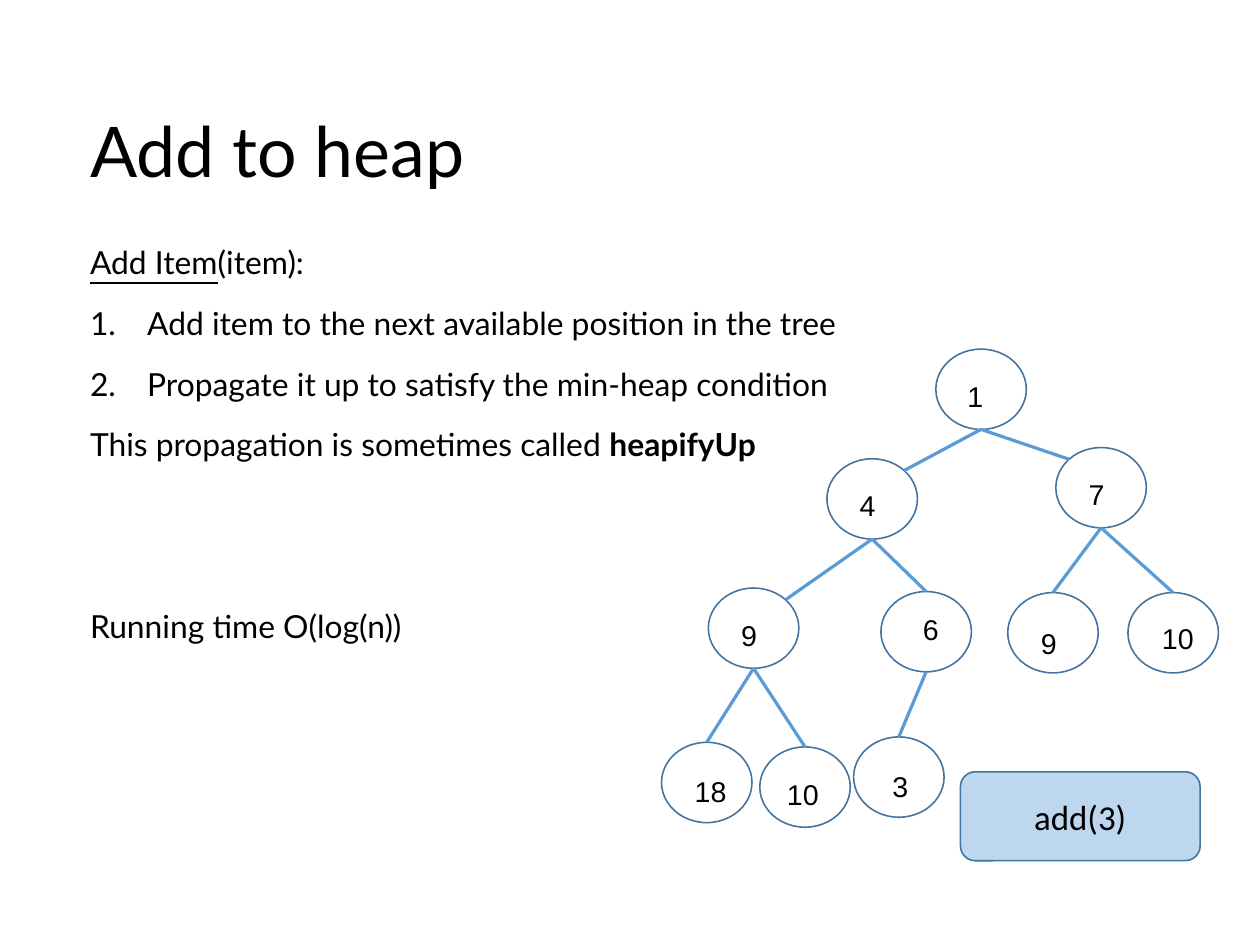
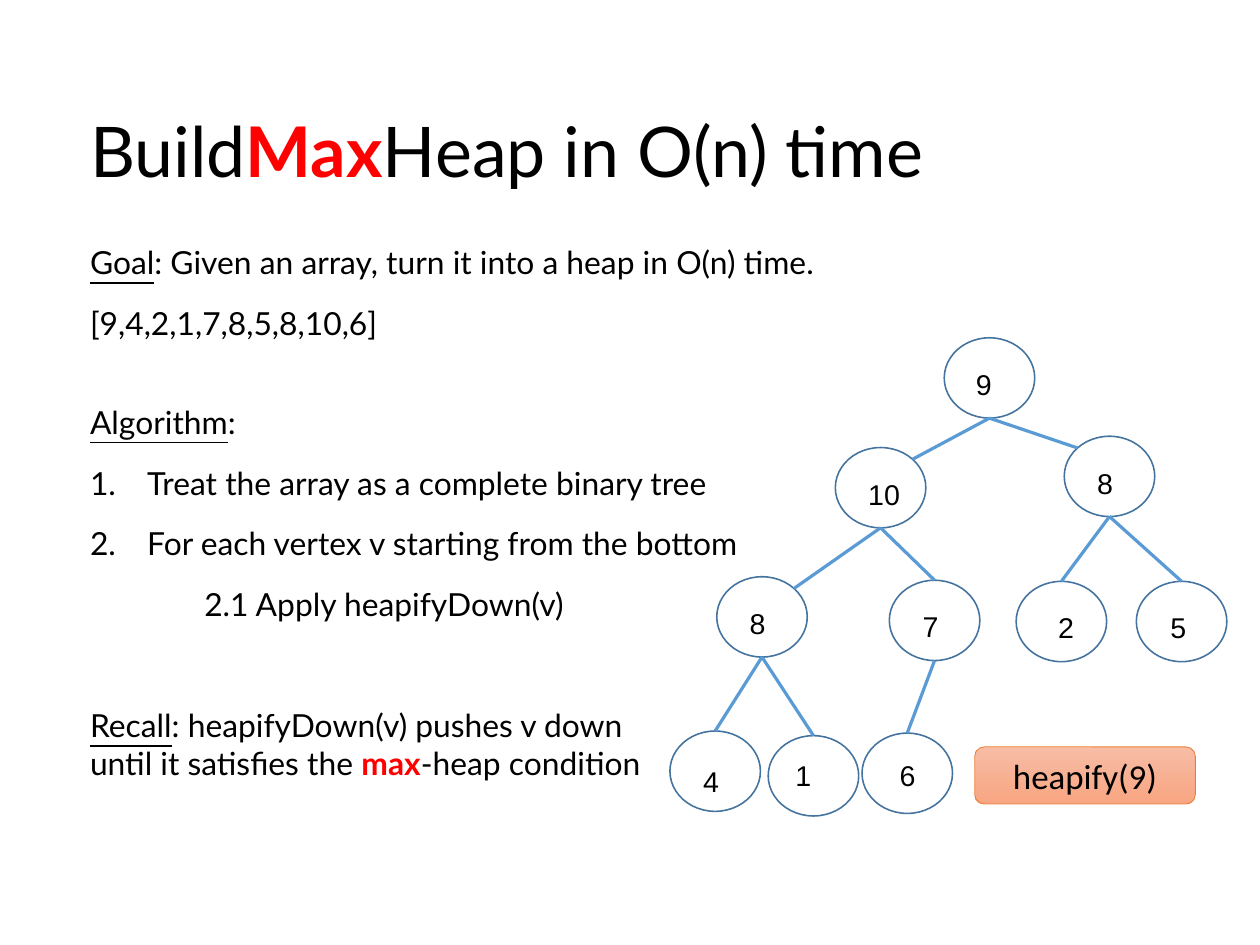
from dataclasses import dataclass
from math import cos, radians, sin

from lxml import etree
from pptx import Presentation
from pptx import util as u
from pptx.dml.color import RGBColor
from pptx.enum import shapes, text
from pptx.oxml.ns import qn


@dataclass(frozen=True)
class Theme:
    ink: str = "000000"
    accent: str = "FF0000"
    outline: str = "43739E"
    edge: str = "5B9BD5"
    add_fill: str = "BDD7EE"
    heapify_top: str = "F7BDA5"
    heapify_bottom: str = "F8A582"
    heapify_line: str = "ED7D31"
    text_font: str = "Lato"
    label_font: str = "Arial"
    badge_font: str = "Calibri"
    title_size: float = 44
    body_size: float = 20
    label_size: float = 18
    badge_size: float = 22


@dataclass(frozen=True)
class Line:
    spans: tuple
    numbered: bool = False
    margin: float = 0
    before: float = 0


@dataclass(frozen=True)
class Node:
    offset: tuple
    parent: int | None = None
    port: int = 90


THEME = Theme()
PAGE_SIZE = (793.7, 595.28)
TITLE_AREA = (56.7, 54, 666, 80.6)
BODY_AREA = (56.7, 153.2, 697, 375)
NODE_SIZE = (57, 50.6)
LABEL_SIZE = (45, 28.8)
LABEL_OFFSET = (13.6, 15.1)
LIST_INDENT = 36
LINE_GAP = 14.2
LINE_HEIGHT = 24
BLANK_LINE = LINE_HEIGHT + LINE_GAP

HEAP = (
    Node((0, 0)),
    Node((-68.6, 69.1), 0, 45),
    Node((75.6, 62), 0, 135),
    Node((-143.3, 150.5), 1, 45),
    Node((-34.6, 152.7), 1),
    Node((45.3, 153.4), 2),
    Node((121, 153.4), 2),
    Node((-172.8, 247.7), 3),
    Node((-110.9, 250.6), 3),
)


def color(value):
    return RGBColor.from_string(value)


def points(values):
    return [u.Pt(value) for value in values]


def set_font(font, name, size):
    font.name = name
    font.size = u.Pt(size)
    font.color.rgb = color(THEME.ink)


def add_spans(para, spans):
    for content, *styles in spans:
        for index, piece in enumerate(content.split("\n")):
            if index:
                para.add_line_break()
            span = para.add_run()
            span.text = piece
            if "underline" in styles:
                span.font.underline = True
            if "bold" in styles:
                span.font.bold = True
            if "accent" in styles:
                span.font.color.rgb = color(THEME.accent)


def clear_insets(frame):
    frame.margin_left = frame.margin_right = 0
    frame.margin_top = frame.margin_bottom = 0
    frame.word_wrap = True
    frame.auto_size = text.MSO_AUTO_SIZE.NONE


def add_title(page, spans):
    title = page.shapes.title
    title.left, title.top, title.width, title.height = points(TITLE_AREA)
    frame = title.text_frame
    clear_insets(frame)
    frame.vertical_anchor = text.MSO_ANCHOR.MIDDLE
    para = frame.paragraphs[0]
    para.alignment = text.PP_ALIGN.LEFT
    set_font(para.font, THEME.text_font, THEME.title_size)
    add_spans(para, spans)


def add_body(page, lines):
    frame = page.shapes.add_textbox(*points(BODY_AREA)).text_frame
    clear_insets(frame)
    for index, line in enumerate(lines):
        para = frame.add_paragraph() if index else frame.paragraphs[0]
        properties = para._p.get_or_add_pPr()
        if line.numbered:
            properties.set("marL", str(u.Pt(LIST_INDENT)))
            properties.set("indent", str(u.Pt(-LIST_INDENT)))
            etree.SubElement(properties, qn("a:buAutoNum"), type="arabicPeriod")
        elif line.margin:
            properties.set("marL", str(u.Pt(line.margin)))
        para.space_after = u.Pt(LINE_GAP)
        if line.before:
            para.space_before = u.Pt(line.before)
        set_font(para.font, THEME.text_font, THEME.body_size)
        add_spans(para, line.spans)


def add_node(page, left, top):
    circle = page.shapes.add_shape(
        shapes.MSO_SHAPE.OVAL, *points((left, top, *NODE_SIZE)))
    circle.shadow.inherit = False
    circle.fill.background()
    circle.line.color.rgb = color(THEME.outline)
    circle.line.width = u.Pt(1)


def add_label(page, left, top, value):
    box = page.shapes.add_textbox(*points((left, top, *LABEL_SIZE)))
    box.text_frame.word_wrap = True
    para = box.text_frame.paragraphs[0]
    set_font(para.font, THEME.label_font, THEME.label_size)
    para.add_run().text = value


def rim_point(position, angle):
    width, height = NODE_SIZE
    return (position[0] + width / 2 * (1 + cos(radians(angle))),
            position[1] + height / 2 * (1 - sin(radians(angle))))


def add_edge(page, start, end):
    edge = page.shapes.add_connector(
        shapes.MSO_CONNECTOR.STRAIGHT, *points((*start, *end)))
    edge.line.color.rgb = color(THEME.edge)
    edge.line.width = u.Pt(2)
    etree.SubElement(edge._element.spPr, qn("a:effectLst"))


def add_heap(page, root, nodes, values, label_offsets):
    places = [(root[0] + node.offset[0], root[1] + node.offset[1])
              for node in nodes]
    for index, (node, place, value) in enumerate(zip(nodes, places, values)):
        add_node(page, *place)
        if node.parent is not None:
            add_edge(page, rim_point(places[node.parent], 270),
                     rim_point(place, node.port))
        across, down = label_offsets.get(index, LABEL_OFFSET)
        add_label(page, place[0] + across, place[1] + down, value)


def add_badge(page, area, caption, fills, outline, line_width):
    badge = page.shapes.add_shape(
        shapes.MSO_SHAPE.ROUNDED_RECTANGLE, *points(area))
    badge.shadow.inherit = False
    if len(fills) == 1:
        badge.fill.solid()
        badge.fill.fore_color.rgb = color(fills[0])
    else:
        badge.fill.gradient()
        badge.fill.gradient_angle = 270
        for stop, value in zip(badge.fill.gradient_stops, fills):
            stop.color.rgb = color(value)
    badge.line.color.rgb = color(outline)
    badge.line.width = u.Pt(line_width)
    frame = badge.text_frame
    frame.vertical_anchor = text.MSO_ANCHOR.MIDDLE
    para = frame.paragraphs[0]
    para.alignment = text.PP_ALIGN.CENTER
    set_font(para.font, THEME.badge_font, THEME.badge_size)
    para.add_run().text = caption


def add_page(deck, title, lines):
    page = deck.slides.add_slide(deck.slide_layouts.get_by_name("Title Only"))
    add_title(page, title)
    add_body(page, lines)
    return page


def build_add_page(deck):
    page = add_page(deck, [("Add to heap",)], [
        Line((("Add Item", "underline"), ("(item):",))),
        Line((("Add item to the next available position in the tree",),),
             numbered=True),
        Line((("Propagate it up to satisfy the min-heap condition",),),
             numbered=True),
        Line((("This propagation is sometimes called ",),
              ("heapifyUp", "bold"))),
        Line((("Running time O(log(n))",),), before=2 * BLANK_LINE),
    ])
    add_heap(page, (589.5, 219.9), (*HEAP, Node((-51.8, 244.3), 4)),
             ("1", "4", "7", "9", "6", "9", "10", "18", "10", "3"),
             {0: (12.8, 15.1), 4: (19.4, 9.4), 5: (13.8, 17.3),
              6: (14.4, 14.4), 7: (13.8, 16.6), 8: (10, 15.1),
              9: (17.3, 16.6)})
    add_badge(page, (605, 486.2, 151, 56), "add(3)",
              (THEME.add_fill,), THEME.outline, 1)


def build_heapify_page(deck):
    page = add_page(deck, [("Build",), ("Max", "bold", "accent"),
                           ("Heap in O(n) time",)], [
        Line((("Goal", "underline"),
              (": Given an array, turn it into a heap in O(n) time.",))),
        Line((("[9,4,2,1,7,8,5,8,10,6]",),)),
        Line((("Algorithm", "underline"), (":",)), before=LINE_HEIGHT),
        Line((("Treat the array as a complete binary tree",),),
             numbered=True),
        Line((("For each vertex v starting from the bottom",),),
             numbered=True),
        Line((("2.1 Apply heapifyDown(v)",),), margin=2 * LIST_INDENT),
        Line((("Recall", "underline"),
              (": heapifyDown(v) pushes v down\nuntil it satisfies the ",),
              ("max", "bold", "accent"), ("-heap condition",)),
             before=BLANK_LINE),
    ])
    add_heap(page, (594.8, 212.8), (*HEAP, Node((-51.8, 249), 4)),
             ("9", "10", "8", "8", "7", "2", "5", "4", "1", "6"),
             {0: (12.8, 15.1), 4: (14, 14.4), 5: (19.4, 14.4),
              6: (14.4, 14.4), 7: (13.8, 17.3), 8: (10, 10.8),
              9: (16.6, 12.2)})
    add_badge(page, (614, 470.5, 139, 36), "heapify(9)",
              (THEME.heapify_top, THEME.heapify_bottom),
              THEME.heapify_line, 0.5)


def main():
    deck = Presentation()
    deck.slide_width, deck.slide_height = points(PAGE_SIZE)
    build_add_page(deck)
    build_heapify_page(deck)
    deck.save("out.pptx")


if __name__ == "__main__":
    main()
